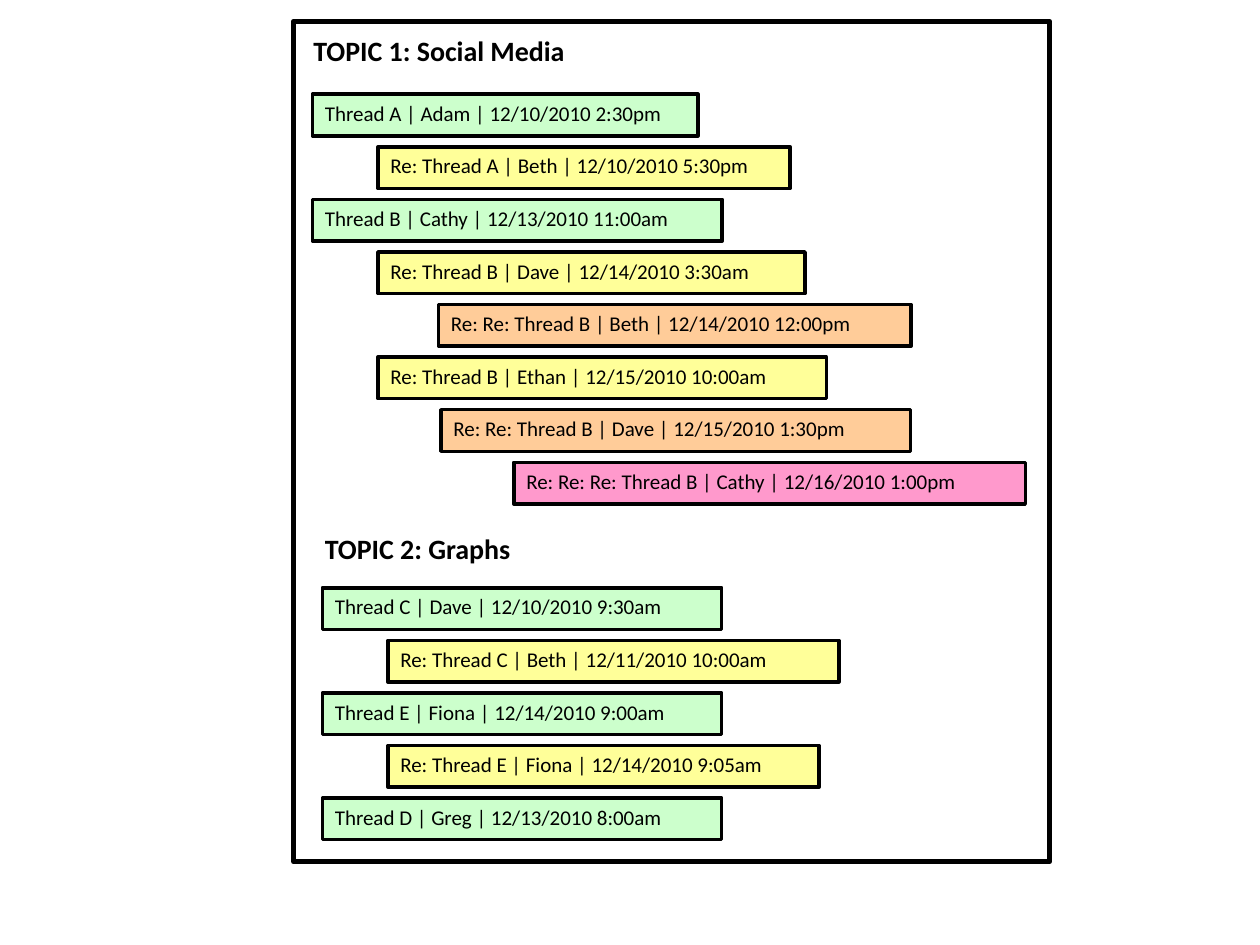
from dataclasses import dataclass

from pptx import Presentation
from pptx.dml.color import RGBColor
from pptx.enum.shapes import MSO_SHAPE
from pptx.enum.text import MSO_ANCHOR, PP_ALIGN
from pptx.util import Cm, Pt

RECTANGLE = MSO_SHAPE.RECTANGLE
TOP = MSO_ANCHOR.TOP
LEFT = PP_ALIGN.LEFT

FONT = "Calibri"
COLOURS = {"ink": "000000", "thread": "CCFFCC", "reply": "FFFF99",
           "second reply": "FFCC99", "third reply": "FF99CC"}

# Fill and indent (cm) for each depth of reply
LEVELS = [("thread", 0), ("reply", 1.32), ("second reply", 2.54), ("third reply", 4.06)]
ROW_PITCH = 1.06
ROW_HEIGHT = 0.84


@dataclass
class Message:
    text: str
    level: int
    width: float
    shift: float = 0


@dataclass
class Topic:
    heading: str
    heading_left: float
    heading_top: float
    heading_width: float
    left: float
    top: float
    messages: list[Message]


TOPICS = [
    Topic("TOPIC 1: Social Media", 6.07, 0.56, 6.48, 6.3, 1.9, [
        Message("Thread A | Adam | 12/10/2010 2:30pm", 0, 7.77),
        Message("Re: Thread A | Beth | 12/10/2010 5:30pm", 1, 8.31),
        Message("Thread B | Cathy | 12/13/2010 11:00am", 0, 8.26),
        Message("Re: Thread B | Dave | 12/14/2010 3:30am", 1, 8.61),
        Message("Re: Re: Thread B | Beth | 12/14/2010 12:00pm", 2, 9.53),
        Message("Re: Thread B | Ethan | 12/15/2010 10:00am", 1, 9.04),
        Message("Re: Re: Thread B | Dave | 12/15/2010 1:30pm", 2, 9.47, 0.05),
        Message("Re: Re: Re: Thread B | Cathy | 12/16/2010 1:00pm", 3, 10.31),
    ]),
    Topic("TOPIC 2: Graphs", 6.3, 10.59, 5.18, 6.5, 11.85, [
        Message("Thread C | Dave | 12/10/2010 9:30am", 0, 8.05),
        Message("Re: Thread C | Beth | 12/11/2010 10:00am", 1, 9.09),
        Message("Thread E | Fiona | 12/14/2010 9:00am", 0, 8.05),
        Message("Re: Thread E | Fiona | 12/14/2010 9:05am", 1, 8.69),
        Message("Thread D | Greg | 12/13/2010 8:00am", 0, 8.05),
    ]),
]


def colour(name: str) -> RGBColor:
    return RGBColor.from_string(COLOURS[name])


def write_text(box, text: str, size: float, bold: bool = False) -> None:
    frame = box.text_frame
    frame.word_wrap = True
    frame.vertical_anchor = TOP
    para = frame.paragraphs[0]
    para.alignment = LEFT
    span = para.add_run()
    span.text = text
    span.font.name = FONT
    span.font.size = Pt(size)
    span.font.bold = bold
    span.font.color.rgb = colour("ink")


def add_outlined_box(page, left: float, top: float, width: float, height: float,
                     line_width: float):
    box = page.shapes.add_shape(RECTANGLE, Cm(left), Cm(top), Cm(width), Cm(height))
    box.shadow.inherit = False
    box.line.color.rgb = colour("ink")
    box.line.width = Pt(line_width)
    return box


def add_message(page, message: Message, left: float, top: float) -> None:
    fill, indent = LEVELS[message.level]
    box = add_outlined_box(page, left + indent + message.shift, top,
                           message.width, ROW_HEIGHT, 2)
    box.fill.solid()
    box.fill.fore_color.rgb = colour(fill)
    write_text(box, message.text, 12)


def add_topic(page, topic: Topic) -> None:
    heading = page.shapes.add_textbox(Cm(topic.heading_left), Cm(topic.heading_top),
                                      Cm(topic.heading_width), Cm(0.94))
    write_text(heading, topic.heading, 16, bold=True)
    for row, message in enumerate(topic.messages):
        add_message(page, message, topic.left, topic.top + row * ROW_PITCH)


def main() -> None:
    deck = Presentation()
    deck.slide_width, deck.slide_height = Cm(25.4), Cm(19.05)
    page = deck.slides.add_slide(deck.slide_layouts[6])

    # Topics with their threads
    for topic in TOPICS:
        add_topic(page, topic)

    # Border around both topics
    border = add_outlined_box(page, 5.92, 0.43, 15.24, 16.94, 3)
    border.fill.background()

    deck.save("out.pptx")


if __name__ == "__main__":
    main()
